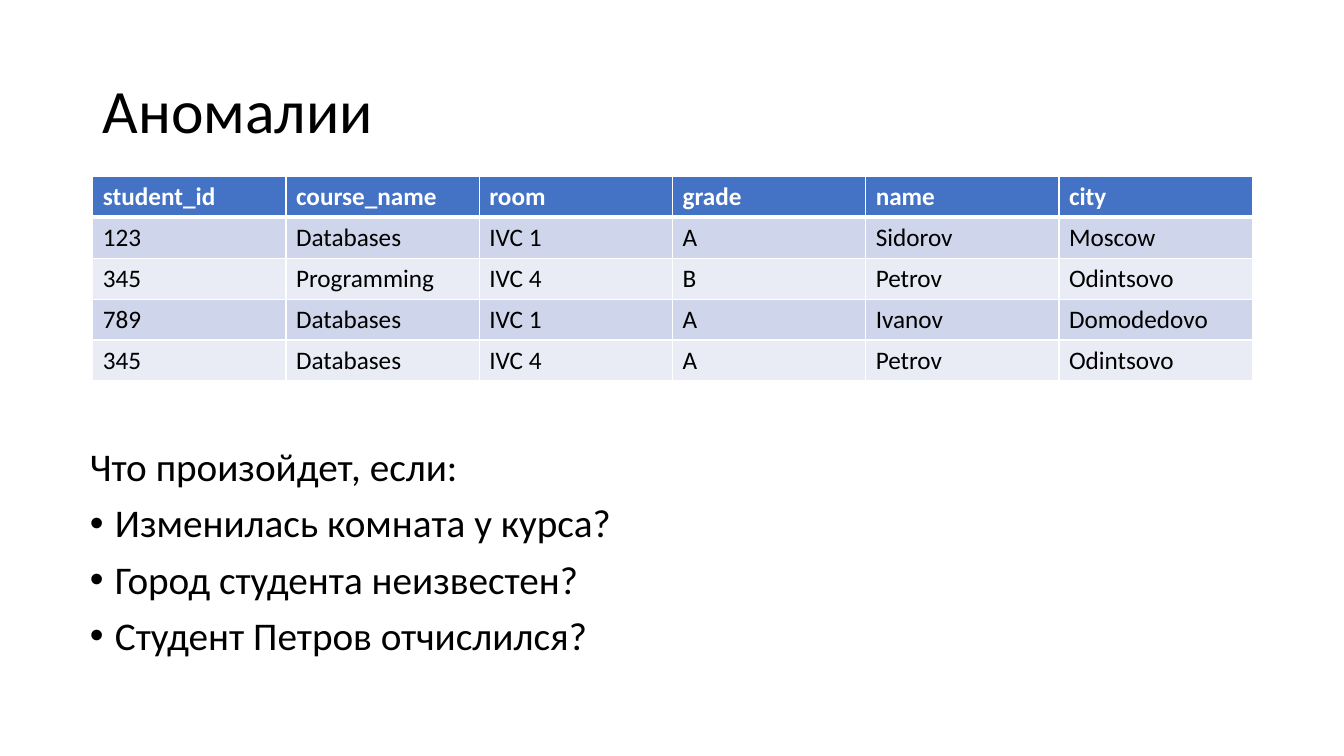
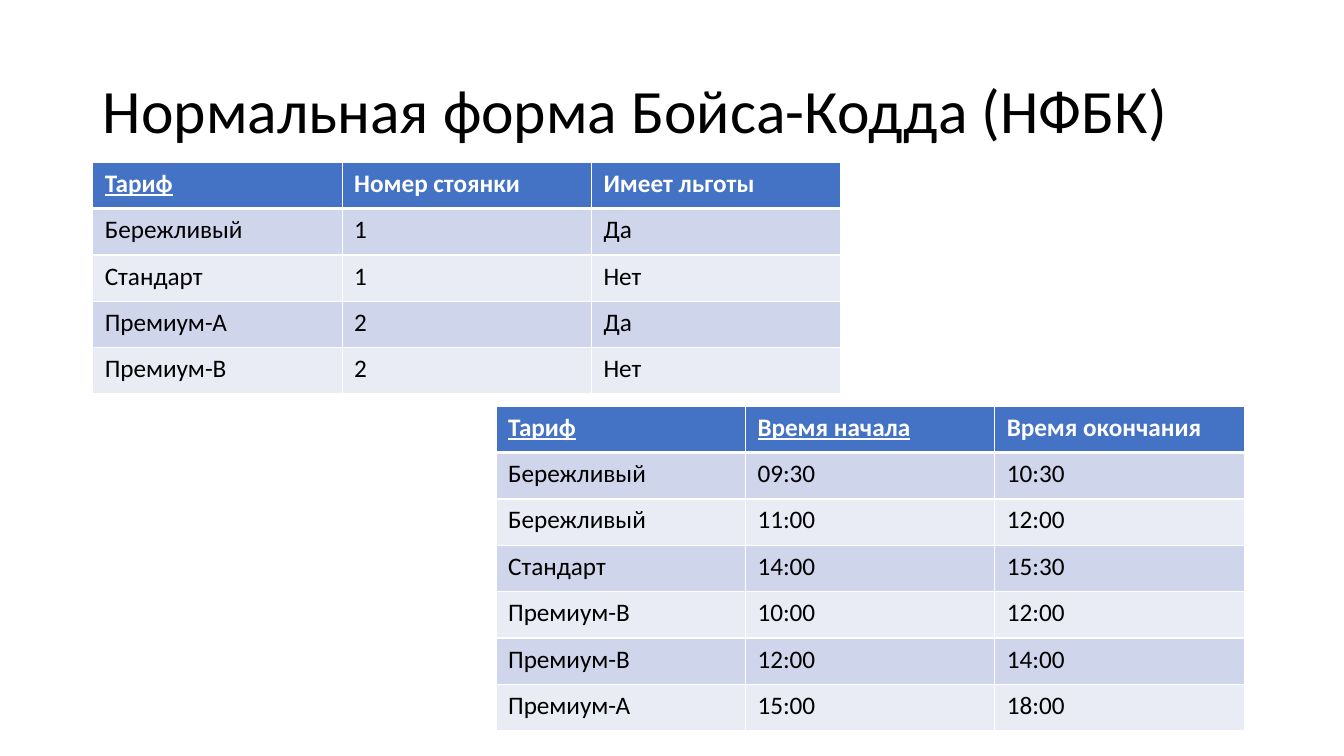
from dataclasses import dataclass

import lxml.etree
import pptx
import pptx.dml.color
import pptx.enum.text
import pptx.oxml.ns
import pptx.util

Inches = pptx.util.Inches
Pt = pptx.util.Pt
qn = pptx.oxml.ns.qn


@dataclass(frozen=True)
class Theme:
    font: str = "Calibri"
    ink: str = "000000"
    white: str = "FFFFFF"
    head: str = "4472C4"
    bands: tuple[str, str] = ("CFD5EA", "E9EBF5")
    title: int = 44
    body: int = 28
    cell: int = 18
    thin: int = 1
    thick: int = 3


@dataclass(frozen=True)
class Grid:
    left: float
    top: float
    width: float
    height: float
    rows: tuple[str, ...]
    keys: tuple[int, ...] = ()
    pads: tuple[float, float, float, float] = (0.12, 0.06, 0.12, 0.09)


@dataclass(frozen=True)
class Page:
    title: str
    grids: tuple[Grid, ...]
    lead: str = ""
    items: tuple[str, ...] = ()


THEME = Theme()
LEFT = 0.92

PAGES = (
    Page(
        "Аномалии",
        (
            Grid(LEFT, 1.75, 11.5, 2.03, (
                "student_id|course_name|room|grade|name|city",
                "123|Databases|IVC 1|A|Sidorov|Moscow",
                "345|Programming|IVC 4|B|Petrov|Odintsovo",
                "789|Databases|IVC 1|A|Ivanov|Domodedovo",
                "345|Databases|IVC 4|A|Petrov|Odintsovo",
            ), pads=(0.1, 0.05, 0.1, 0.05)),
        ),
        "Что произойдет, если:",
        (
            "Изменилась комната у курса?",
            "Город студента неизвестен?",
            "Студент Петров отчислился?",
        ),
    ),
    Page(
        "Нормальная форма Бойса-Кодда (НФБК)",
        (
            Grid(LEFT, 1.61, 7.42, 2.3, (
                "Тариф|Номер стоянки|Имеет льготы",
                "Бережливый|1|Да",
                "Стандарт|1|Нет",
                "Премиум-А|2|Да",
                "Премиум-В|2|Нет",
            ), keys=(0,)),
            Grid(4.92, 4.03, 7.42, 3.22, (
                "Тариф|Время начала|Время окончания",
                "Бережливый|09:30|10:30",
                "Бережливый|11:00|12:00",
                "Стандарт|14:00|15:30",
                "Премиум-В|10:00|12:00",
                "Премиум-В|12:00|14:00",
                "Премиум-А|15:00|18:00",
            ), keys=(0, 1)),
        ),
    ),
)


def write(para, text: str, *, size: int, color: str = THEME.ink,
          bold: bool = False, under: bool = False,
          line: float = 1.0, before: int = 0) -> None:
    para.alignment = pptx.enum.text.PP_ALIGN.LEFT
    para.line_spacing = line
    para.space_before = Pt(before)
    run = para.add_run()
    run.text = text
    font = run.font
    font.name = THEME.font
    font.size = Pt(size)
    font.bold = bold
    font.underline = under
    font.color.rgb = pptx.dml.color.RGBColor.from_string(color)


def place(shape, left: float, top: float, width: float, height: float):
    shape.left, shape.top = Inches(left), Inches(top)
    shape.width, shape.height = Inches(width), Inches(height)
    frame = shape.text_frame
    frame.word_wrap = True
    frame.auto_size = pptx.enum.text.MSO_AUTO_SIZE.NONE
    return frame


def bullet(para, mark: str = "") -> None:
    props = para._p.get_or_add_pPr()
    step = Inches(0.25) if mark else 0
    props.set("marL", str(step))
    props.set("indent", str(-step))
    if mark:
        lxml.etree.SubElement(props, qn("a:buChar")).set("char", mark)
    else:
        lxml.etree.SubElement(props, qn("a:buNone"))


def border(cell, side: str, width: int) -> None:
    props = cell._tc.get_or_add_tcPr()
    edge = lxml.etree.SubElement(props, qn(f"a:ln{side}"))
    edge.set("w", str(Pt(width)))
    fill = lxml.etree.SubElement(edge, qn("a:solidFill"))
    lxml.etree.SubElement(fill, qn("a:srgbClr")).set("val", THEME.white)


def paint(cell, row: int) -> None:
    heavy = {(0, "B"), (1, "T")}
    for side in "LRTB":
        border(cell, side, THEME.thick if (row, side) in heavy else THEME.thin)
    color = THEME.bands[(row - 1) % 2] if row else THEME.head
    cell.fill.solid()
    cell.fill.fore_color.rgb = pptx.dml.color.RGBColor.from_string(color)


def draw(slide, grid: Grid) -> None:
    data = [row.split("|") for row in grid.rows]
    count = len(data[0])
    table = slide.shapes.add_table(
        len(data), count, Inches(grid.left), Inches(grid.top),
        Inches(grid.width), Inches(grid.height)).table
    table.horz_banding = False
    for row, texts in enumerate(data):
        table.rows[row].height = Inches(grid.height / len(data))
        for col, text in enumerate(texts):
            cell = table.cell(row, col)
            (cell.margin_left, cell.margin_top, cell.margin_right,
             cell.margin_bottom) = map(Inches, grid.pads)
            paint(cell, row)
            head = row == 0
            write(cell.text_frame.paragraphs[0], text, size=THEME.cell,
                  color=THEME.white if head else THEME.ink, bold=head,
                  under=head and col in grid.keys)


def build(deck, page: Page) -> None:
    slide = deck.slides.add_slide(deck.slide_layouts[1 if page.lead else 5])
    frame = place(slide.shapes.title, LEFT, 0.4, 11.5, 1.45)
    frame.vertical_anchor = pptx.enum.text.MSO_ANCHOR.MIDDLE
    write(frame.paragraphs[0], page.title, size=THEME.title, line=0.9)
    if page.lead:
        frame = place(slide.placeholders[1], 0.79, 4.39, 11.5, 2.22)
        for index, text in enumerate((page.lead, *page.items)):
            para = frame.add_paragraph() if index else frame.paragraphs[0]
            write(para, text, size=THEME.body, line=0.9, before=10)
            bullet(para, "•" if index else "")
    for grid in page.grids:
        draw(slide, grid)


def main() -> None:
    deck = pptx.Presentation()
    deck.slide_width, deck.slide_height = Inches(13.33), Inches(7.5)
    for page in PAGES:
        build(deck, page)
    deck.save("out.pptx")


if __name__ == "__main__":
    main()
